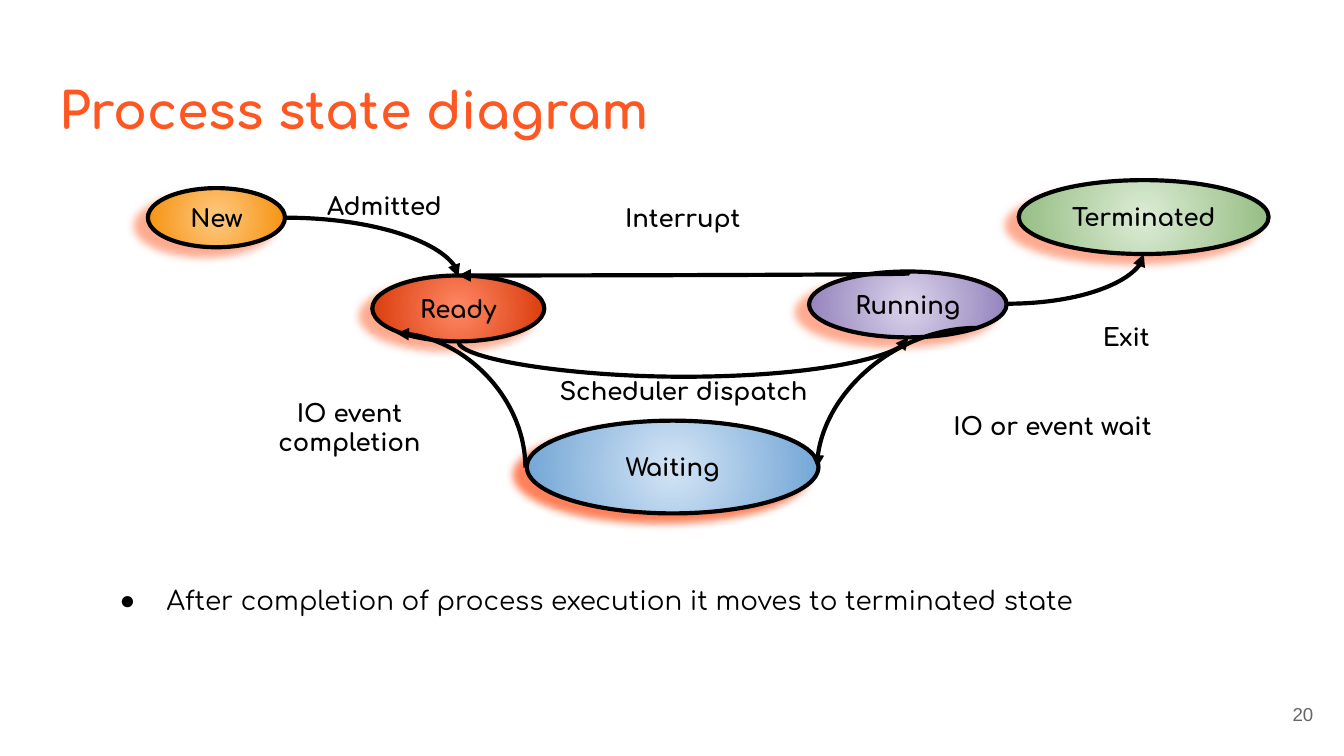
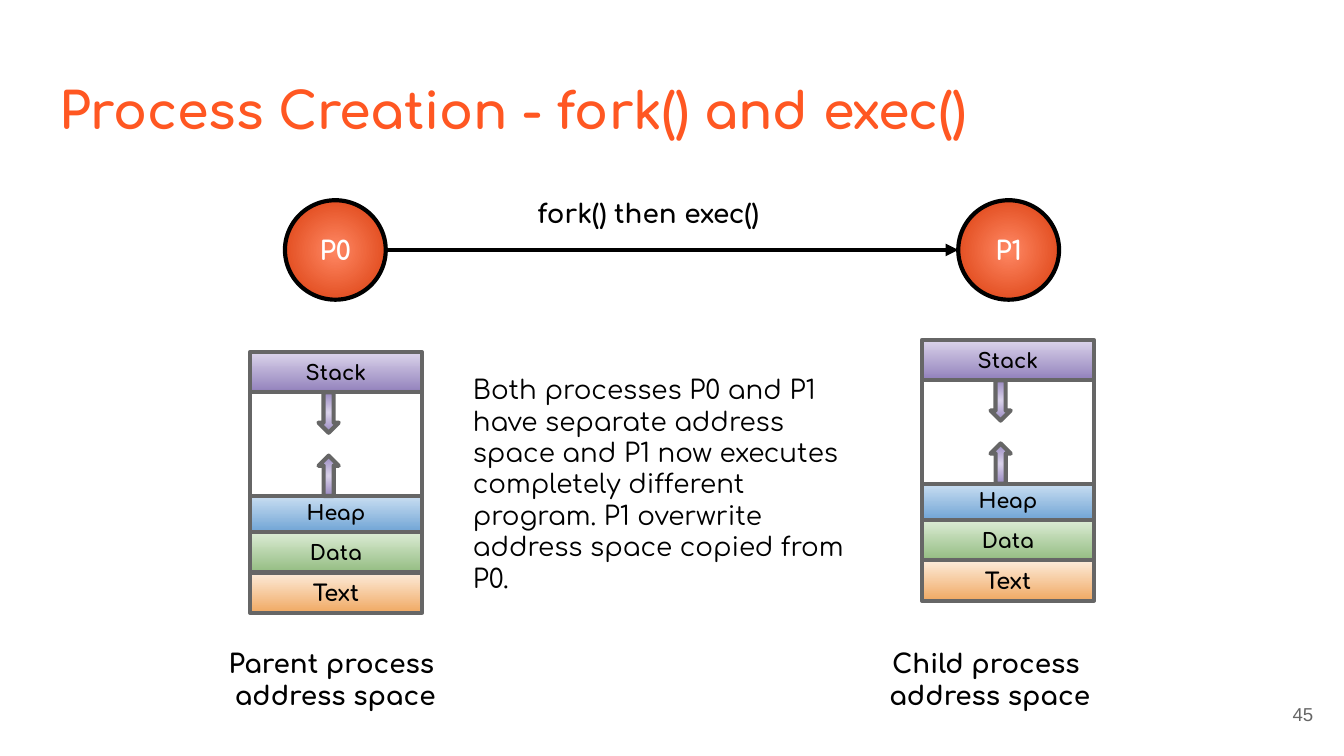
from lxml.etree import SubElement
from pptx import Presentation
from pptx.dml.color import RGBColor
from pptx.enum.shapes import MSO_CONNECTOR, MSO_SHAPE
from pptx.enum.text import MSO_ANCHOR, MSO_AUTO_SIZE, PP_ALIGN
from pptx.oxml.ns import qn
from pptx.util import Pt

PX = 9144  # 100 px to the inch
FONT, PLAIN = "Comfortaa", "Arial"
ORANGE, BLACK, GREY, WHITE = "FF5722", "000000", "666666", "FFFFFF"
LEFT, MID, RIGHT = PP_ALIGN.LEFT, PP_ALIGN.CENTER, PP_ALIGN.RIGHT
TITLE, NUMBER = (34, 49, 932, 63), (927, 510, 60, 43)

AMBER = ("FFC982", "F58F09")
RED = ("FF8864", "D83908")
PURPLE = ("DBD4EB", "9180BB")
BLUE = ("D4E5F5", "70A4D5")
GREEN = ("DCECD5", "93BC81")
PEACH = ("FDECDB", "F0A963")

# name: box, colours, shadow opacity in percent
STATES = {
    "New": ((110, 140, 102, 44), AMBER, 50),
    "Ready": ((277, 205, 128, 49), RED, 50),
    "Running": ((602, 202, 147, 49), PURPLE, 50),
    "Waiting": ((392, 313, 217, 69), BLUE, 75),
    "Terminated": ((758, 134, 186, 55), GREEN, 50),
}
# connection sites of an ellipse
TOP, WEST, SOUTHWEST, BOTTOM, SOUTHEAST, EAST = 0, 2, 3, 4, 5, 6
# start, end, box before turning, turn, mirrored, bend (None: a quarter curve)
MOVES = [
    (("New", EAST), ("Ready", TOP), (212, 162, 129, 44), 0, False, None),
    (("Ready", BOTTOM), ("Running", BOTTOM), (507, 85, 3, 335), 270, False, -8.8),
    (("Running", SOUTHEAST), ("Waiting", EAST), (608, 244, 119, 104), 0, True, None),
    (("Waiting", WEST), ("Ready", SOUTHWEST), (293, 250, 100, 96), 90, True, None),
    (("Running", TOP), ("Ready", TOP), (341, 202, 335, 3), 0, True, 0),
    (("Running", EAST), ("Terminated", BOTTOM), (749, 189, 102, 37), 180, True, None),
]
LABELS = [
    ("IO or event wait", (694, 296, 178, 42)),
    ("Scheduler dispatch", (371, 270, 275, 42)),
    ("Admitted", (207, 132, 158, 42)),
    ("IO event completion", (171, 286, 178, 64)),
    ("Interrupt", (419, 141, 178, 42)),
    ("Exit", (749, 230, 178, 42)),
]
POINT = "After completion of process execution it moves to terminated state"

NODES = [("P0", 212), ("P1", 713)]
# name, offset from the top, colours, text size
LAYERS = [
    ("Text", 164, PEACH, 12),
    ("Data", 134, GREEN, 11),
    ("Heap", 104, BLUE, 11),
    ("", 30, None, 11),
    ("Stack", 0, PURPLE, 11),
]
SPACES = [
    ("Parent process \naddress space", 101, 186, 262),
    ("Child process \naddress space", 588, 686, 253),
]
WIDE, HIGH, GAP = 128, 30, 77
NOTE = ("Both processes P0 and P1 have separate address space and P1 now "
        "executes completely different program. P1 overwrite address space "
        "copied from P0.")


def emu(box):
    return [n * PX for n in box]


def rgb(code):
    return RGBColor.from_string(code)


def write(shape, text, size, color=BLACK, bold=True, align=MID,
          anchor=MSO_ANCHOR.MIDDLE, font=FONT):
    frame = shape.text_frame
    frame.text = text
    frame.word_wrap = True
    frame.auto_size = MSO_AUTO_SIZE.NONE
    frame.vertical_anchor = anchor
    frame.margin_left = frame.margin_right = 10 * PX
    frame.margin_top = frame.margin_bottom = 10 * PX
    for para in frame.paragraphs:
        para.alignment = align
        para.space_before = Pt(0)
        for run in para.runs:
            run.font.name, run.font.size = font, Pt(size)
            run.font.bold, run.font.color.rgb = bold, rgb(color)


def label(slide, text, box, size, **look):
    look.setdefault("anchor", MSO_ANCHOR.TOP)
    write(slide.shapes.add_textbox(*emu(box)), text, size, **look)


def place(shape, box):
    shape.left, shape.top, shape.width, shape.height = emu(box)


def start(deck, layout, title, number):
    """Add a slide with its title and page number."""
    slide = deck.slides.add_slide(deck.slide_layouts[layout])
    place(slide.shapes.title, TITLE)
    write(slide.shapes.title, title, 27, ORANGE, align=LEFT, anchor=MSO_ANCHOR.TOP)
    label(slide, number, NUMBER, 10, color=GREY, bold=False, align=RIGHT,
          anchor=MSO_ANCHOR.MIDDLE, font=PLAIN)
    return slide


def draw(shapes, kind, box, tones, line=BLACK, radial=True):
    """Add an outlined shape, shaded from the first tone to the second."""
    shape = shapes.add_shape(kind, *emu(box))
    shape.shadow.inherit = False
    shape.line.color.rgb, shape.line.width = rgb(line), Pt(2.25)
    if not tones:
        shape.fill.solid()
        shape.fill.fore_color.rgb = rgb(WHITE)
        return shape
    shape.fill.gradient()
    shape.fill.gradient_angle = 270
    for stop, tone in zip(shape.fill.gradient_stops, tones):
        stop.color.rgb = rgb(tone)
    if radial:
        grad = shape._element.spPr.find(qn("a:gradFill"))
        grad.remove(grad.find(qn("a:lin")))
        ring = SubElement(grad, qn("a:path"), path="circle")
        SubElement(ring, qn("a:fillToRect"), l="50000", t="50000", r="50000", b="50000")
    return shape


def shade(shape, alpha):
    """Cast an orange shadow to the lower left."""
    effect = shape._element.spPr.find(qn("a:effectLst"))
    cast = SubElement(effect, qn("a:outerShdw"), blurRad="57150", dist="95250",
                      dir="8760000", algn="bl", rotWithShape="0")
    color = SubElement(cast, qn("a:srgbClr"), val=ORANGE)
    SubElement(color, qn("a:alpha"), val=str(alpha * 1000))


def link(slide, kind, ends, begin, end):
    """Add an arrow glued to a (shape, site) pair at each end."""
    wire = slide.shapes.add_connector(kind, *emu(ends))
    wire.line.color.rgb, wire.line.width = rgb(BLACK), Pt(2.25)
    props = wire._element.spPr
    SubElement(props.find(qn("a:ln")), qn("a:tailEnd"), type="triangle")
    SubElement(props, qn("a:effectLst"))
    glue = wire._element.nvCxnSpPr.cNvCxnSpPr
    for tag, (shape, site) in (("a:stCxn", begin), ("a:endCxn", end)):
        SubElement(glue, qn(tag), id=str(shape.shape_id), idx=str(site))
    return wire


def curve(slide, begin, end, box, turn, mirror, bend):
    x, y, w, h = box
    ends = (x + w, y, x, y + h) if mirror else (x, y, x + w, y + h)
    wire = link(slide, MSO_CONNECTOR.CURVE, ends, begin, end)
    props = wire._element.spPr
    if turn:
        props.find(qn("a:xfrm")).set("rot", str(turn * 60000))
    geom = props.find(qn("a:prstGeom"))
    if bend is None:
        geom.set("prst", "curvedConnector2")
    else:
        SubElement(geom.find(qn("a:avLst")), qn("a:gd"), name="adj1",
                   fmla=f"val {round(bend * 100000)}")


def states(deck):
    slide = start(deck, 1, "Process state diagram", "20")
    nodes = {}
    for name, (box, tones, alpha) in STATES.items():
        nodes[name] = draw(slide.shapes, MSO_SHAPE.OVAL, box, tones)
        shade(nodes[name], alpha)
        write(nodes[name], name, 13)
    for (a, out), (b, into), *bow in MOVES:
        curve(slide, (nodes[a], out), (nodes[b], into), *bow)
    for text, box in LABELS:
        label(slide, text, box, 13)

    body = slide.placeholders[1]
    place(body, (64, 425, 778, 44))
    write(body, POINT, 14, bold=False, align=LEFT, anchor=MSO_ANCHOR.TOP)
    props = body.text_frame.paragraphs[0]._p.get_or_add_pPr()
    props.set("marL", str(50 * PX))
    props.set("indent", str(-35 * PX))
    tint = SubElement(props, qn("a:buClr"))
    SubElement(tint, qn("a:srgbClr"), val=BLACK)
    SubElement(props, qn("a:buFont"), typeface=PLAIN)
    SubElement(props, qn("a:buChar"), char="●")


def memory(slide, x, y):
    """Draw one address space as a group."""
    shapes = slide.shapes.add_group_shape().shapes
    for name, drop, tones, size in LAYERS:
        box = (x, y + drop, WIDE, HIGH if name else GAP)
        layer = draw(shapes, MSO_SHAPE.RECTANGLE, box, tones, GREY, False)
        if name:
            write(layer, name, size)
    for drop, turn in ((HIGH, 0), (GAP, 180)):
        arrow = draw(shapes, MSO_SHAPE.DOWN_ARROW, (x + 51, y + drop, 15, HIGH),
                     PURPLE, GREY)
        arrow.rotation = turn


def creation(deck):
    slide = start(deck, 5, "Process Creation - fork() and exec()", "45")
    nodes = []
    for name, x in NODES:
        node = draw(slide.shapes, MSO_SHAPE.OVAL, (x, 149, 75, 74), RED)
        write(node, name, 14, WHITE)
        nodes.append(node)
    link(slide, MSO_CONNECTOR.STRAIGHT, (287, 186, 713, 186),
         (nodes[0], EAST), (nodes[1], WEST))
    label(slide, "fork() then exec()", (352, 137, 261, 44), 14)
    for text, left, x, y in SPACES:
        memory(slide, x, y)
        label(slide, text, (left, 472, 297, 67), 14)
    label(slide, NOTE, (342, 268, 316, 185), 14, bold=False, align=LEFT)


def main():
    deck = Presentation()
    deck.slide_width = 1000 * PX
    deck.slide_height = deck.slide_width * 9 // 16
    states(deck)
    creation(deck)
    deck.save("out.pptx")


if __name__ == "__main__":
    main()
